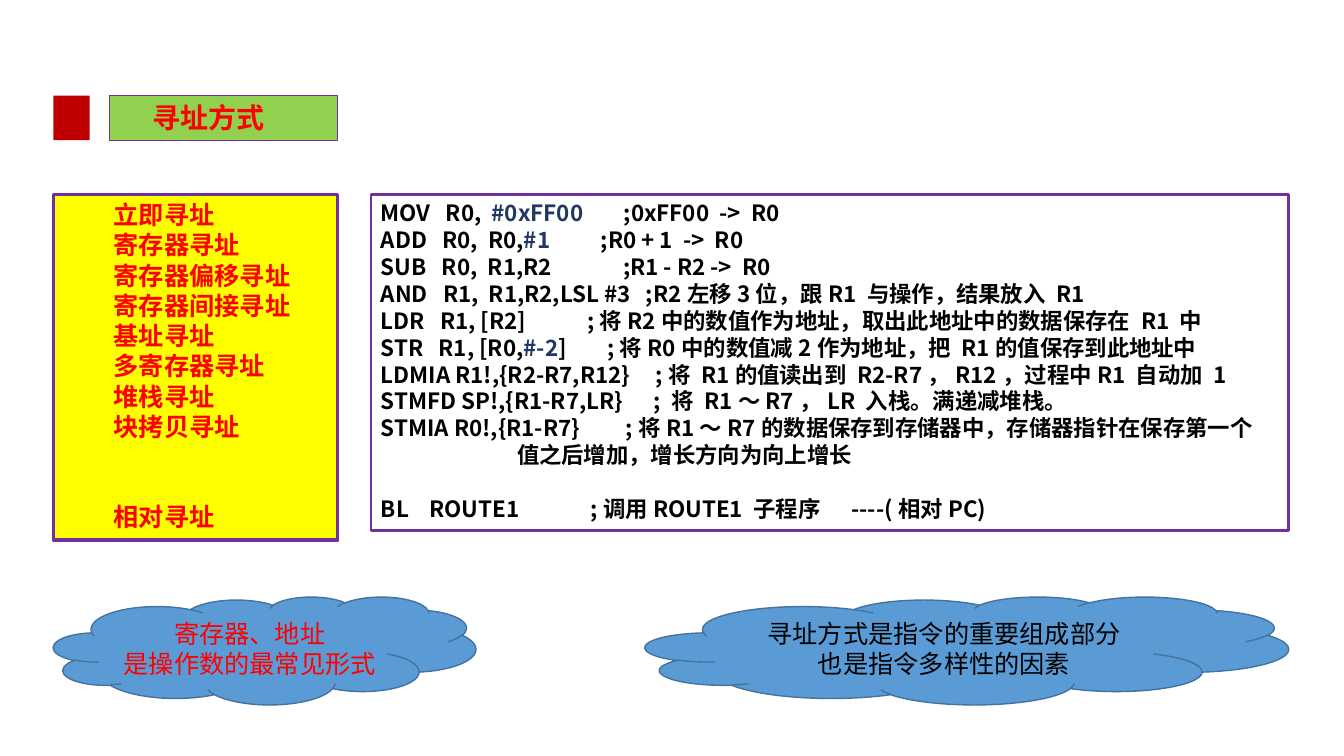
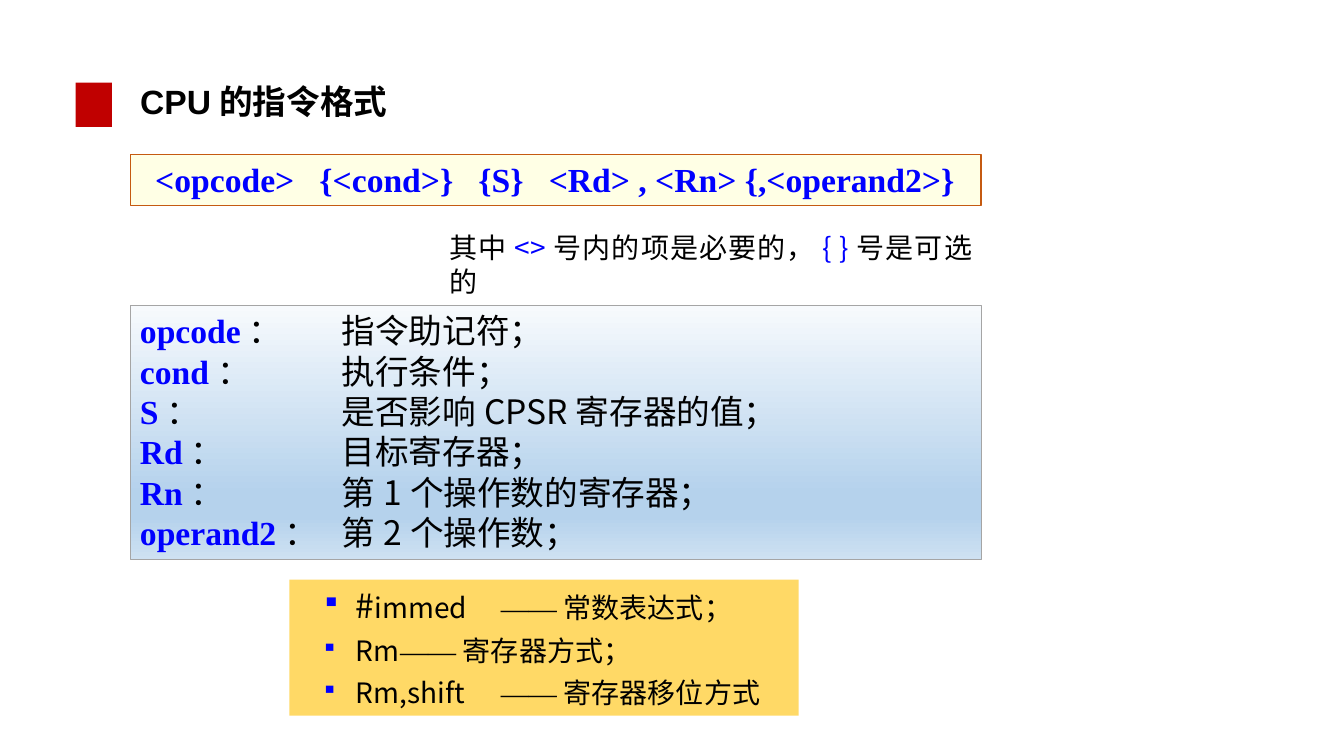
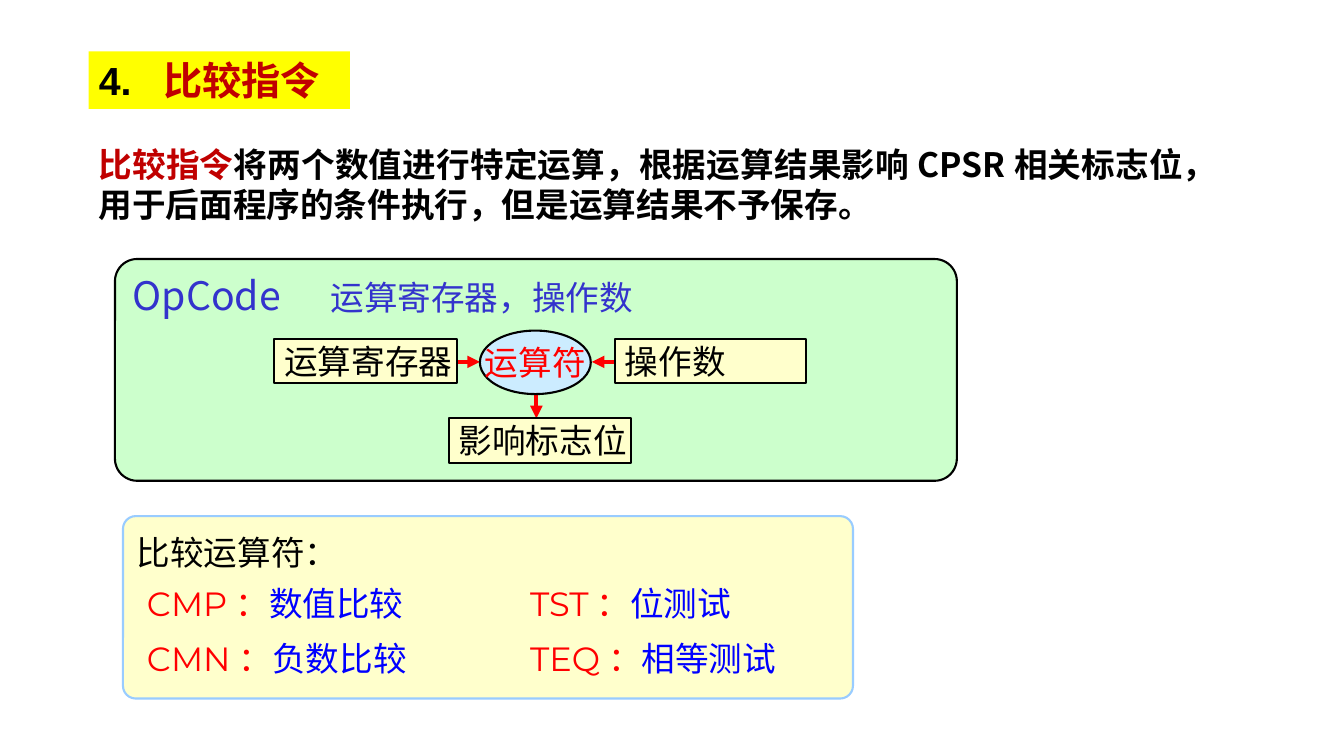
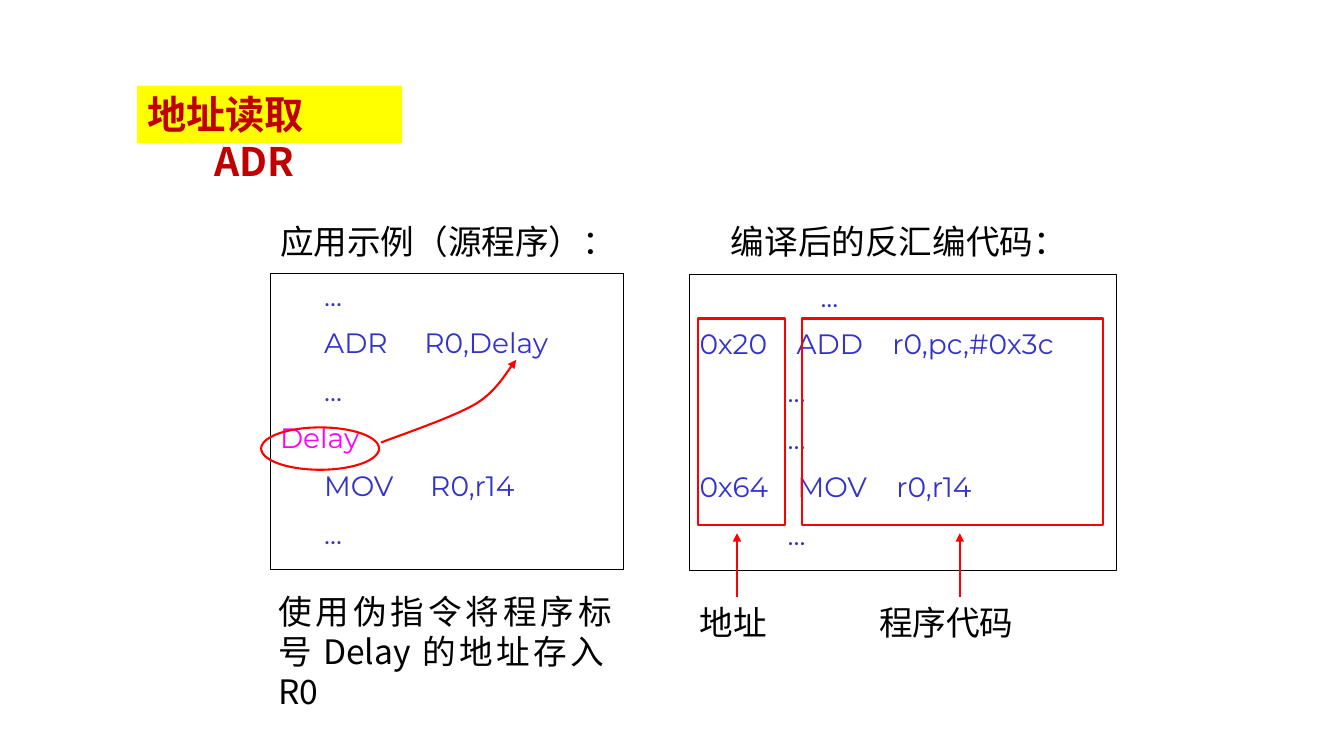
from lxml import etree
from pptx import Presentation
from pptx import util as u
from pptx.dml.color import RGBColor
from pptx.enum import shapes, text
from pptx.oxml.ns import qn

PX = 9144  # EMU per px, 100 px to the inch
TITLE_ONLY = 5

SANS, SANS_JP = "Noto Sans CJK SC", "Noto Sans CJK JP"
SERIF, ARIAL, MONTSERRAT = "Times New Roman", "Arial", "Montserrat"

BLACK, WHITE, RED, DARK_RED = "000000", "FFFFFF", "FF0000", "C00000"
BLUE, INDIGO, NAVY, PURPLE = "0000FF", "3333CC", "203864", "7030A0"
YELLOW, CREAM = "FFFF00", "FFFFCC"

SHAPE = shapes.MSO_SHAPE
LEFT, CENTER, JUSTIFY = text.PP_ALIGN.LEFT, text.PP_ALIGN.CENTER, text.PP_ALIGN.JUSTIFY
TOP, MIDDLE = text.MSO_ANCHOR.TOP, text.MSO_ANCHOR.MIDDLE


# ---- formatting helpers ----
def px(*lengths):
    return [u.Emu(round(length * PX)) for length in lengths]


def rgb(color):
    return RGBColor.from_string(color)


def style_font(font, size=None, color=None, name=None, bold=None):
    if size:
        font.size = u.Pt(size)
    if color:
        font.color.rgb = rgb(color)
    if name:
        font.name = name
    if bold is not None:
        font.bold = bold


def paint(shape, fill=None, line=None, width=1.0):
    if fill:
        shape.fill.solid()
        shape.fill.fore_color.rgb = rgb(fill)
    else:
        shape.fill.background()
    if line:
        shape.line.color.rgb = rgb(line)
        shape.line.width = u.Pt(width)
    else:
        shape.line.fill.background()


def paint_gradient(shape, stops):
    """Fill from top to bottom with (percent, colour) stops."""
    shape.fill.gradient()
    shape.fill.gradient_angle = 270
    stop_list = shape._element.spPr.find(".//" + qn("a:gsLst"))
    for stop in list(stop_list):
        stop_list.remove(stop)
    for percent, color in stops:
        stop = etree.SubElement(stop_list, qn("a:gs"), pos=str(percent * 1000))
        etree.SubElement(stop, qn("a:srgbClr"), val=color)


def set_indent(paragraph, margin, first=0, tabs=(), bullet=None):
    """With a negative first indent, the first tab reaches the margin."""
    properties = paragraph._p.get_or_add_pPr()
    properties.set("marL", str(margin * PX))
    properties.set("indent", str(first * PX))
    if bullet:
        color = etree.SubElement(properties, qn("a:buClr"))
        etree.SubElement(color, qn("a:srgbClr"), val=BLUE)
        etree.SubElement(properties, qn("a:buSzPct"), val="80000")
        etree.SubElement(properties, qn("a:buChar"), char=bullet)
    if tabs:
        tab_list = etree.SubElement(properties, qn("a:tabLst"))
        for tab in tabs:
            etree.SubElement(tab_list, qn("a:tab"), pos=str(tab * PX), algn="l")


def write(shape, paragraphs, size, color, name, bold=False, align=LEFT, anchor=TOP,
          insets=(10, 5, 10, 5), wrap=True, before=0, **indent):
    """Each paragraph is a string or a list of (text, font changes) runs."""
    frame = shape.text_frame
    frame.word_wrap = wrap
    frame.auto_size = text.MSO_AUTO_SIZE.NONE
    frame.vertical_anchor = anchor
    (frame.margin_left, frame.margin_top,
     frame.margin_right, frame.margin_bottom) = px(*insets)
    for index, runs in enumerate(paragraphs):
        paragraph = frame.add_paragraph() if index else frame.paragraphs[0]
        paragraph.alignment = align
        if index and before:
            paragraph.space_before = u.Pt(before)
        if indent:
            set_indent(paragraph, **indent)
        style_font(paragraph.font, size, color, name, bold)
        if isinstance(runs, str):
            paragraph.text = runs
            continue
        for words, changes in runs:
            run = paragraph.add_run()
            run.text = words
            style_font(run.font, **changes)
    return frame.paragraphs


# ---- kinds of element ----
def add_box(slide, box, fill=None, line=None, width=1.0, kind=SHAPE.RECTANGLE, corner=None):
    shape = slide.shapes.add_shape(kind, *px(*box))
    shape.shadow.inherit = False
    if corner:
        shape.adjustments[0] = corner
    paint(shape, fill, line, width)
    return shape


def add_label(slide, box, paragraphs, size, color, name, **options):
    label = slide.shapes.add_textbox(*px(*box))
    return write(label, paragraphs, size, color, name, **options)


def add_titled_slide(presentation, box, runs, size, color, name,
                     fill=None, line=None, **options):
    slide = presentation.slides.add_slide(presentation.slide_layouts[TITLE_ONLY])
    title = slide.shapes.title
    title.left, title.top, title.width, title.height = px(*box)
    paint(title, fill, line, 0.75)
    write(title, [runs], size, color, name, bold=True, **options)
    return slide


def add_marker(slide, left, top):
    add_box(slide, (left, top, 36, 44), DARK_RED)


def add_arrowhead(shape):
    etree.SubElement(shape.line._get_or_add_ln(), qn("a:tailEnd"), type="triangle")


def add_arrow(slide, start, end, width):
    arrow = slide.shapes.add_connector(shapes.MSO_CONNECTOR.STRAIGHT, *px(*start, *end))
    arrow.line.color.rgb = rgb(RED)
    arrow.line.width = u.Pt(width)
    add_arrowhead(arrow)
    etree.SubElement(arrow._element.spPr, qn("a:effectLst"))


def add_curved_arrow(slide, start, curves, steps=10):
    """Draw cubic curves, each given as two handles and an end point."""
    points, origin = [], start
    for curve in curves:
        corners = (origin, *curve)
        for step in range(1, steps + 1):
            t = step / steps
            weights = ((1 - t) ** 3, 3 * t * (1 - t) ** 2, 3 * t * t * (1 - t), t ** 3)
            points.append(px(*(sum(w * corner[axis] for w, corner in zip(weights, corners))
                               for axis in (0, 1))))
        origin = curve[-1]
    builder = slide.shapes.build_freeform(*px(*start))
    builder.add_line_segments(points, close=False)
    arrow = builder.convert_to_shape()
    arrow.shadow.inherit = False
    paint(arrow, None, RED, 1.5)
    add_arrowhead(arrow)


# ---- slides ----
def build_addressing(presentation):
    slide = add_titled_slide(presentation, (109, 95, 226, 44), "寻址方式", 20, RED, ARIAL,
                             fill="92D050", line=PURPLE, insets=(42, 5, 10, 5))
    add_marker(slide, 53, 95)

    modes = add_box(slide, (53, 193, 282, 343), YELLOW, PURPLE, 2.5)
    names = ["立即寻址", "寄存器寻址", "寄存器偏移寻址", "寄存器间接寻址", "基址寻址",
             "多寄存器寻址", "堆栈寻址", "块拷贝寻址", "相对寻址"]
    lines = write(modes, names, 18, RED, SANS, bold=True, margin=50)
    lines[-1].space_before = u.Pt(43)

    navy = {"color": NAVY}
    code = [
        [("MOV   R0,  ", {}), ("#0xFF00", navy), ("        ;0xFF00  ->  R0", {})],
        [("ADD   R0,  R0,", {}), ("#1", navy), ("          ;R0 + 1  ->  R0", {})],
        "SUB   R0,  R1,R2\t        ;R1 - R2 ->  R0",
        "AND   R1,  R1,R2,LSL #3   ;R2左移3位，跟R1 与操作，结果放入 R1",
        "LDR   R1, [R2]            ;将R2中的数值作为地址，取出此地址中的数据保存在 R1 中",
        [("STR   R1, [R0,", {}), ("#-2", navy),
         ("]        ;将R0中的数值减2作为地址，把 R1的值保存到此地址中", {})],
        "LDMIA R1!,{R2-R7,R12}     ;将 R1的值读出到 R2-R7，R12，过程中R1 自动加 1",
        "STMFD SP!,{R1-R7,LR}      ; 将 R1～R7，LR 入栈。满递减堆栈。",
        "STMIA R0!,{R1-R7}         ;将R1～R7的数据保存到存储器中，存储器指针在保存第一个",
        "值之后增加，增长方向为向上增长",
        "BL    ROUTE1              ;调用ROUTE1 子程序     ----(相对PC)",
    ]
    listing = add_box(slide, (368, 193, 910, 333), None, PURPLE, 2)
    lines = write(listing, code, 16, BLACK, SANS, bold=True)
    set_indent(lines[-2], 135)
    lines[-1].space_before = u.Pt(19)

    clouds = [
        (640, 638, BLACK, ["寻址方式是指令的重要组成部分", "也是指令多样性的因素"]),
        (53, 419, RED, ["寄存器、地址", "是操作数的最常见形式"]),
    ]
    for left, width, color, words in clouds:
        cloud = add_box(slide, (left, 592, width, 107), "5B9BD5", "43739E", 1, SHAPE.CLOUD)
        write(cloud, words, 18, color, SANS, align=CENTER, anchor=MIDDLE)


def build_format(presentation):
    slide = add_titled_slide(presentation, (129, 75, 292, 50), "CPU的指令格式",
                             24, BLACK, ARIAL)
    add_marker(slide, 75, 82)

    syntax = add_box(slide, (129, 153, 844, 51), "FFFFE5", "C55A11", 0.75)
    write(syntax, ["<opcode>   {<cond>}   {S}   <Rd> , <Rn> {,<operand2>}"],
          24, BLUE, SERIF, bold=True, insets=(25, 5, 0, 5))

    blue = {"color": BLUE}
    add_label(slide, (436, 224, 538, 44),
              [[("其中", {}), ("<>", blue), ("号内的项是必要的，", {}),
                ("{ }", blue), ("号是可选的", {})]],
              20, BLACK, SANS, align=JUSTIFY)

    # Meaning of each field
    fields = [("opcode", "指令助记符；"), ("cond", "执行条件；"),
              ("S", "是否影响CPSR寄存器的值；"), ("Rd", "目标寄存器；"),
              ("Rn", "第1个操作数的寄存器；"), ("operand2", "第2个操作数；")]
    key = {"color": BLUE, "name": SERIF, "bold": True}
    meanings = add_box(slide, (129, 303, 844, 252), WHITE, "A5A5A5", 0.5)
    paint_gradient(meanings, [(0, "F7FAFD"), (74, "B5D2EC"), (83, "B5D2EC"), (100, "CEE1F2")])
    write(meanings, [[(field, key), ("：\t" + meaning, {})] for field, meaning in fields],
          24, BLACK, SANS, align=JUSTIFY, margin=200, first=-200)

    # Forms of the second operand
    dash = ("——", {"name": SERIF})
    forms = [
        [("#", {"size": 24}), ("immed\t", {}), dash, ("常数表达式；", {})],
        [("Rm\t", {}), dash, ("寄存器方式；", {})],
        [("Rm,shift\t", {}), dash, ("寄存器移位方式", {})],
    ]
    operands = add_box(slide, (287, 575, 505, 135), "FFD966")
    write(operands, forms, 20, BLACK, SANS_JP, align=JUSTIFY, before=6,
          margin=56, first=-34, tabs=[100, 200], bullet="▪")


def build_compare(presentation):
    slide = add_titled_slide(
        presentation, (88, 51, 259, 57),
        [("4.\t", {"color": BLACK, "name": ARIAL}), ("比较指令", {})],
        28, DARK_RED, SANS, fill=YELLOW, margin=64, first=-64)
    add_label(slide, (88, 138, 1095, 91),
              [[("比较指令", {"color": DARK_RED}),
                ("将两个数值进行特定运算，根据运算结果影响CPSR相关标志位，"
                 "用于后面程序的条件执行，但是运算结果不予保存。", {})]],
              24, BLACK, SANS, bold=True, align=JUSTIFY)

    # Operation diagram
    add_box(slide, (114, 257, 835, 220), "CCFFCC", BLACK, 1.5, SHAPE.ROUNDED_RECTANGLE, 0.1)
    add_label(slide, (122, 264, 827, 57),
              [[("OpCode\t", {"size": 28, "name": SANS}), ("运算寄存器，操作数", {})]],
              24, INDIGO, MONTSERRAT, margin=196, first=-196)
    for start, end in [((453, 359), (476, 359)), ((610, 359), (587, 359)),
                       ((532, 391), (532, 415))]:
        add_arrow(slide, start, end, 3)
    for left, top, width, words in [(272, 336, 181, "运算寄存器"), (610, 336, 189, "操作数"),
                                    (445, 415, 181, "影响标志位")]:
        node = add_box(slide, (left, top, width, 44), CREAM, BLACK, 1.5)
        write(node, [words], 24, BLACK, SERIF, anchor=MIDDLE, insets=(10, 5, 0, 5))
    operator = add_box(slide, (476, 328, 110, 63), "CCECFF", BLACK, 1.5, SHAPE.OVAL)
    write(operator, ["运算符"], 24, RED, SERIF, align=CENTER, anchor=MIDDLE, wrap=False)

    # Comparison operators
    panel = add_box(slide, (122, 512, 724, 181), CREAM, "99CCFF", 1.5,
                    SHAPE.ROUNDED_RECTANGLE, 0.07)
    write(panel, ["比较运算符："], 24, BLACK, SERIF, insets=(10, 12, 10, 5))
    operators = [("CMP：", "数值比较"), ("TST：", "位测试"),
                 ("CMN：", "负数比较"), ("TEQ：", "相等测试")]
    for index, (code, meaning) in enumerate(operators):
        row, column = divmod(index, 2)
        add_label(slide, (136 + 380 * column, 574 + 55 * row, 300, 48),
                  [[(code, {"color": RED, "name": MONTSERRAT}), (meaning, {})]],
                  24, BLUE, SERIF, anchor=MIDDLE)


def build_adr(presentation):
    slide = add_titled_slide(presentation, (136, 85, 263, 57), "地址读取\vADR",
                             28, DARK_RED, SANS, fill=YELLOW, margin=67, first=-67)
    for box, words in [((268, 214, 392, 50), "应用示例（源程序）："),
                       ((715, 214, 392, 50), "编译后的反汇编代码："),
                       ((266, 581, 351, 90), "使用伪指令将程序标号Delay的地址存入R0")]:
        add_label(slide, box, [words], 24, BLACK, SANS_JP, align=JUSTIFY)

    # Source listing
    source = add_box(slide, (268, 271, 350, 294), WHITE, BLACK, 0.75)
    write(source, ["      ...", "      ADR     R0,Delay", "      ...",
                   [("Delay", {"color": "FF00FF"})], "      MOV     R0,r14", "      ..."],
          20, INDIGO, MONTSERRAT, align=JUSTIFY, before=10)
    add_box(slide, (259, 424, 117, 42), None, RED, 1.5, SHAPE.OVAL)
    add_curved_arrow(slide, (378, 439), [((393, 433), (450, 414), (473, 400)),
                                         ((495, 386), (504, 366), (512, 357))])

    # Disassembly listing
    disassembly = add_box(slide, (684, 272, 423, 294), WHITE, BLACK, 0.75)
    lines = write(disassembly, ["...", "0x20    ADD    r0,pc,#0x3c", "            ...",
                                "            ...", "0x64    MOV    r0,r14",
                                "            ..."],
                  20, INDIGO, MONTSERRAT, align=JUSTIFY, before=10)
    set_indent(lines[0], 120)
    for frame_left, frame_width, arrow_x, label_left, label_width, words in [
            (692, 87, 731, 684, 110, "地址"), (795, 299, 952, 862, 200, "程序代码")]:
        add_box(slide, (frame_left, 316, frame_width, 205), None, RED, 1.5)
        add_arrow(slide, (arrow_x, 592), (arrow_x, 529), 1.5)
        add_label(slide, (label_left, 592, label_width, 50), [words], 24, BLACK, SANS_JP)


def main():
    presentation = Presentation()
    presentation.slide_width, presentation.slide_height = px(1333, 750)
    build_addressing(presentation)
    build_format(presentation)
    build_compare(presentation)
    build_adr(presentation)
    presentation.save("out.pptx")


if __name__ == "__main__":
    main()
